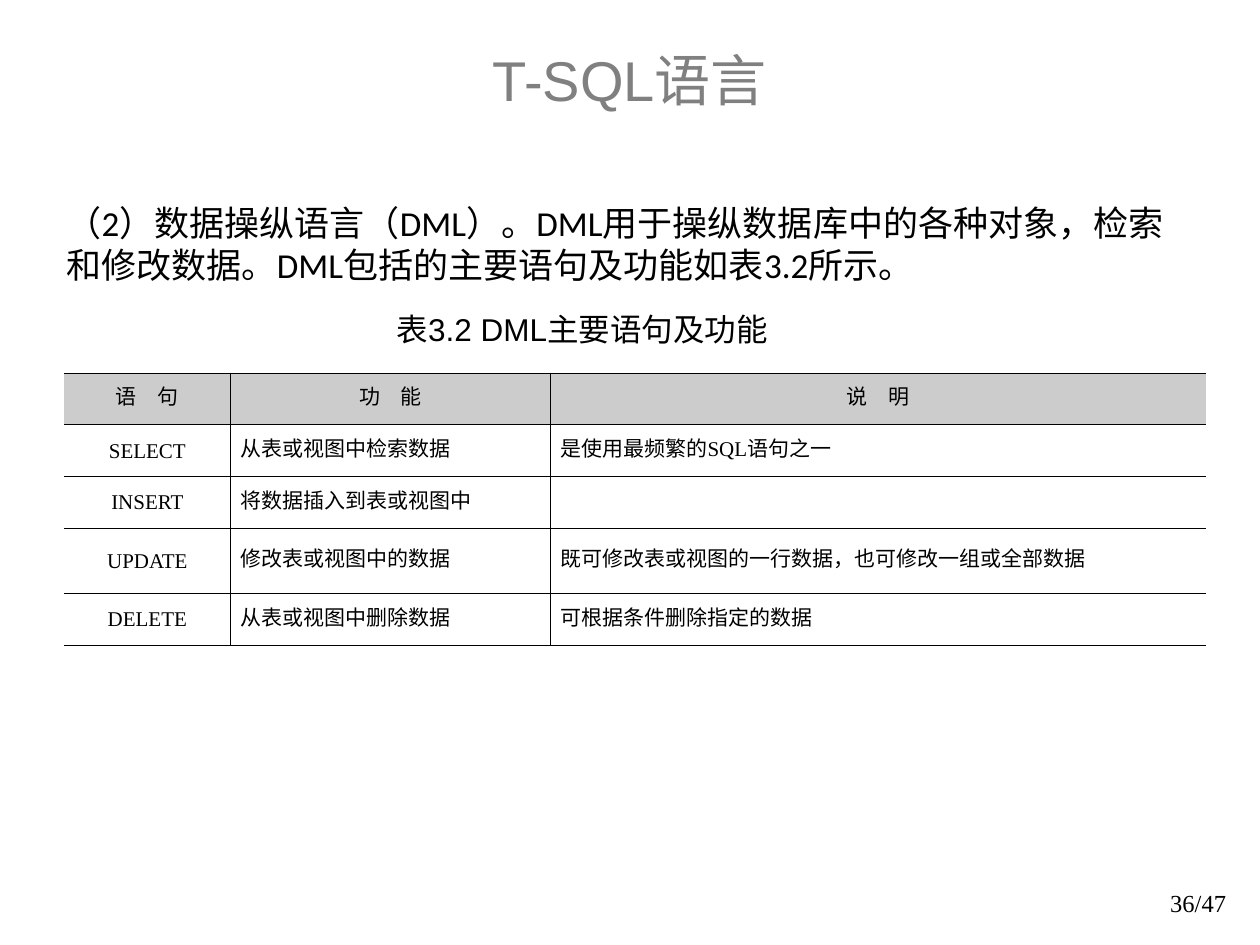
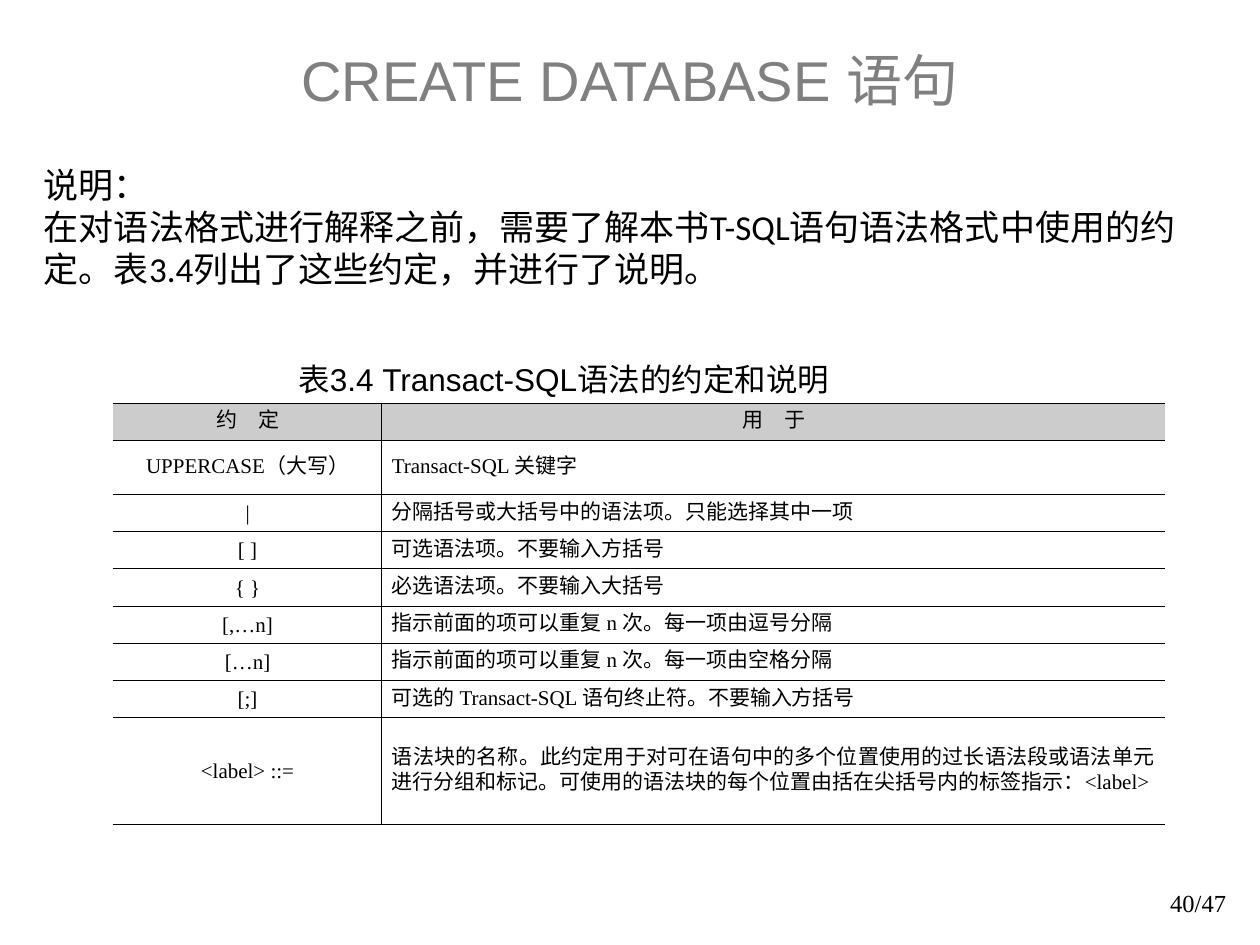
import pptx
import pptx.util
import pptx.dml.color
import pptx.enum.text
import pptx.oxml.ns
import lxml.etree

Inches = pptx.util.Inches
ALIGN = pptx.enum.text.PP_ALIGN
ANCHOR = pptx.enum.text.MSO_ANCHOR
AUTO = pptx.enum.text.MSO_AUTO_SIZE

# Content
PAGE_COUNT = 47
SLIDES = [
    {
        "title": "T-SQL语言",
        "page": 36,
        "body": ["（2）数据操纵语言（DML）。DML用于操纵数据库中的各种对象，"
                 "检索和修改数据。DML包括的主要语句及功能如表3.2所示。"],
        "body_at": (0.43, 1.55, 9.06, 1.1),
        "caption": "表3.2 DML主要语句及功能",
        "caption_at": (3.05, 2.41, 3.33, 0.4),
        "table_at": (0.51, 2.96),
        "col_widths": [1.32, 2.54, 5.2],
        "row_height": 0.41,
        "tall_rows": {3: 0.52},
        "rows": [
            ("语　句", "功　能", "说　明"),
            ("SELECT", "从表或视图中检索数据", "是使用最频繁的SQL语句之一"),
            ("INSERT", "将数据插入到表或视图中", ""),
            ("UPDATE", "修改表或视图中的数据",
             "既可修改表或视图的一行数据，也可修改一组或全部数据"),
            ("DELETE", "从表或视图中删除数据", "可根据条件删除指定的数据"),
        ],
    },
    {
        "title": "CREATE DATABASE 语句",
        "page": 40,
        "body": ["说明：",
                 "在对语法格式进行解释之前，需要了解本书T-SQL语句语法格式中使用的约定。"
                 "表3.4列出了这些约定，并进行了说明。"],
        "body_at": (0.25, 1.25, 9.29, 1.44),
        "caption": "表3.4 Transact-SQL语法的约定和说明",
        "caption_at": (2.27, 2.81, 4.61, 0.4),
        "table_at": (0.9, 3.2),
        "col_widths": [2.13, 6.22],
        "row_height": 0.29,
        "tall_rows": {1: 0.43, 8: 0.85},
        "rows": [
            ("约　定", "用　于"),
            ("UPPERCASE（大写）", "Transact-SQL 关键字"),
            ("|", "分隔括号或大括号中的语法项。只能选择其中一项"),
            ("[ ]", "可选语法项。不要输入方括号"),
            ("{ }", "必选语法项。不要输入大括号"),
            ("[,…n]", "指示前面的项可以重复 n 次。每一项由逗号分隔"),
            ("[…n]", "指示前面的项可以重复 n 次。每一项由空格分隔"),
            ("[;]", "可选的 Transact-SQL 语句终止符。不要输入方括号"),
            ("<label> ::=",
             "语法块的名称。此约定用于对可在语句中的多个位置使用的过长语法段或语法单元"
             "进行分组和标记。可使用的语法块的每个位置由括在尖括号内的标签指示：<label>"),
        ],
    },
]

# Shared look
BLACK, TITLE_GRAY, HEADER_GRAY = "000000", "808080", "CCCCCC"
SANS, BODY_FONT, SERIF = "Arial", "Calibri", "Times New Roman"
TITLE_AT = (0.75, 0, 8.5, 1.25)
PAGE_AT = (7.75, 7, 2.08, 0.5)
BORDER_PT = 0.45


def rgb(value):
    return pptx.dml.color.RGBColor.from_string(value)


def write(tf, lines, font=SANS, size=12, color=BLACK, align=ALIGN.LEFT,
          anchor=ANCHOR.TOP, wrap=True, auto=AUTO.NONE, leading=None):
    tf.word_wrap = wrap
    tf.auto_size = auto
    tf.vertical_anchor = anchor
    write_lines(tf, lines, font, size, color, align, leading)


def write_lines(tf, lines, font, size, color, align, leading=None):
    for i, line in enumerate(lines):
        p = tf.paragraphs[0] if i == 0 else tf.add_paragraph()
        p.alignment = align
        if leading:
            p.line_spacing = pptx.util.Pt(leading)
        r = p.add_run()
        r.text = line
        r.font.name = font
        r.font.size = pptx.util.Pt(size)
        r.font.color.rgb = rgb(color)


def add_text(s, at, lines, **fmt):
    sp = s.shapes.add_textbox(*map(Inches, at))
    write(sp.text_frame, lines, **fmt)


def set_borders(cell, shown):
    tcPr = cell._tc.get_or_add_tcPr()
    for side in "LRTB":
        ln = lxml.etree.SubElement(tcPr, pptx.oxml.ns.qn("a:ln" + side))
        ln.set("w", str(pptx.util.Pt(BORDER_PT)))
        if side in shown:
            fill = lxml.etree.SubElement(ln, pptx.oxml.ns.qn("a:solidFill"))
            lxml.etree.SubElement(fill, pptx.oxml.ns.qn("a:srgbClr")).set("val", BLACK)
        else:
            lxml.etree.SubElement(ln, pptx.oxml.ns.qn("a:noFill"))


def add_ruled_table(s, content):
    rows, widths = content["rows"], content["col_widths"]
    heights = [content["tall_rows"].get(i, content["row_height"])
               for i in range(len(rows))]
    left, top = content["table_at"]
    table = s.shapes.add_table(
        len(rows), len(widths), Inches(left), Inches(top),
        Inches(sum(widths)), Inches(sum(heights))).table
    table.first_row = table.horz_banding = False
    for col, width in zip(table.columns, widths):
        col.width = Inches(width)
    for row, height in zip(table.rows, heights):
        row.height = Inches(height)

    last = len(widths) - 1
    for i, row in enumerate(rows):
        for j, text in enumerate(row):
            cell = table.cell(i, j)
            # Open on the outer left and right sides
            set_borders(cell, "TB" + "L" * (j > 0) + "R" * (j < last))
            if i == 0:
                cell.fill.solid()
                cell.fill.fore_color.rgb = rgb(HEADER_GRAY)
            else:
                cell.fill.background()
            cell.vertical_anchor = ANCHOR.MIDDLE
            cell.margin_left = cell.margin_right = Inches(0.08)
            centred = i == 0 or j == 0
            write_lines(cell.text_frame, [text], SANS if i == 0 else SERIF, 12, BLACK,
                        ALIGN.CENTER if centred else ALIGN.JUSTIFY, leading=14)


def build_slide(prs, content):
    s = prs.slides.add_slide(prs.slide_layouts[5])
    # Title
    title = s.shapes.title
    title.left, title.top, title.width, title.height = map(Inches, TITLE_AT)
    write(title.text_frame, [content["title"]], size=32, color=TITLE_GRAY,
          align=ALIGN.CENTER, anchor=ANCHOR.MIDDLE)
    # Page number
    add_text(s, PAGE_AT, [f"{content['page']}/{PAGE_COUNT}"], font=SERIF, size=14,
             align=ALIGN.RIGHT)
    # Body, table and its caption
    add_text(s, content["body_at"], content["body"], font=BODY_FONT, size=20,
             auto=AUTO.SHAPE_TO_FIT_TEXT)
    add_ruled_table(s, content)
    add_text(s, content["caption_at"], [content["caption"]], size=18, wrap=False,
             auto=AUTO.SHAPE_TO_FIT_TEXT)


def main():
    prs = pptx.Presentation()
    prs.slide_width, prs.slide_height = Inches(10), Inches(7.5)
    for content in SLIDES:
        build_slide(prs, content)
    prs.save("out.pptx")


if __name__ == "__main__":
    main()
